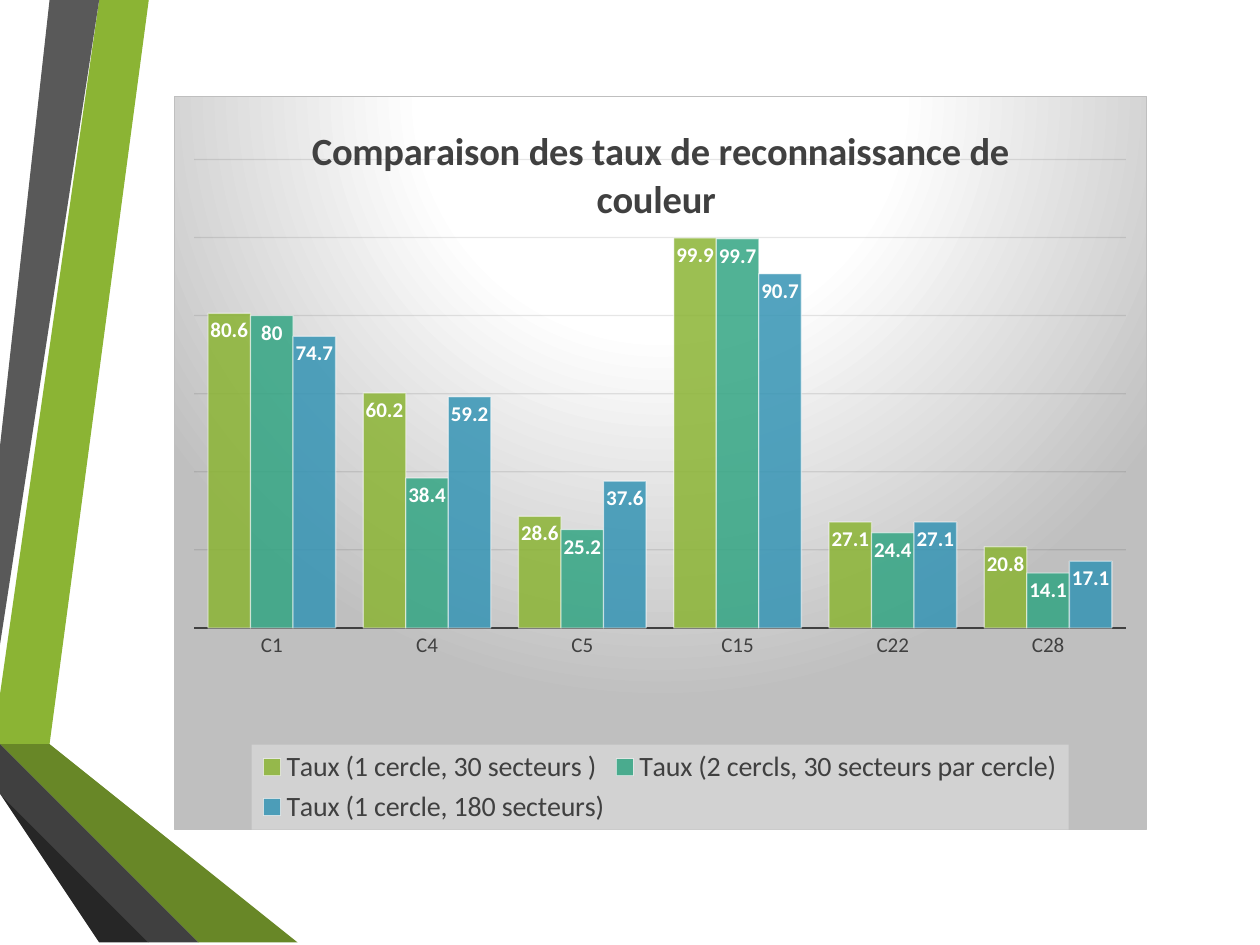
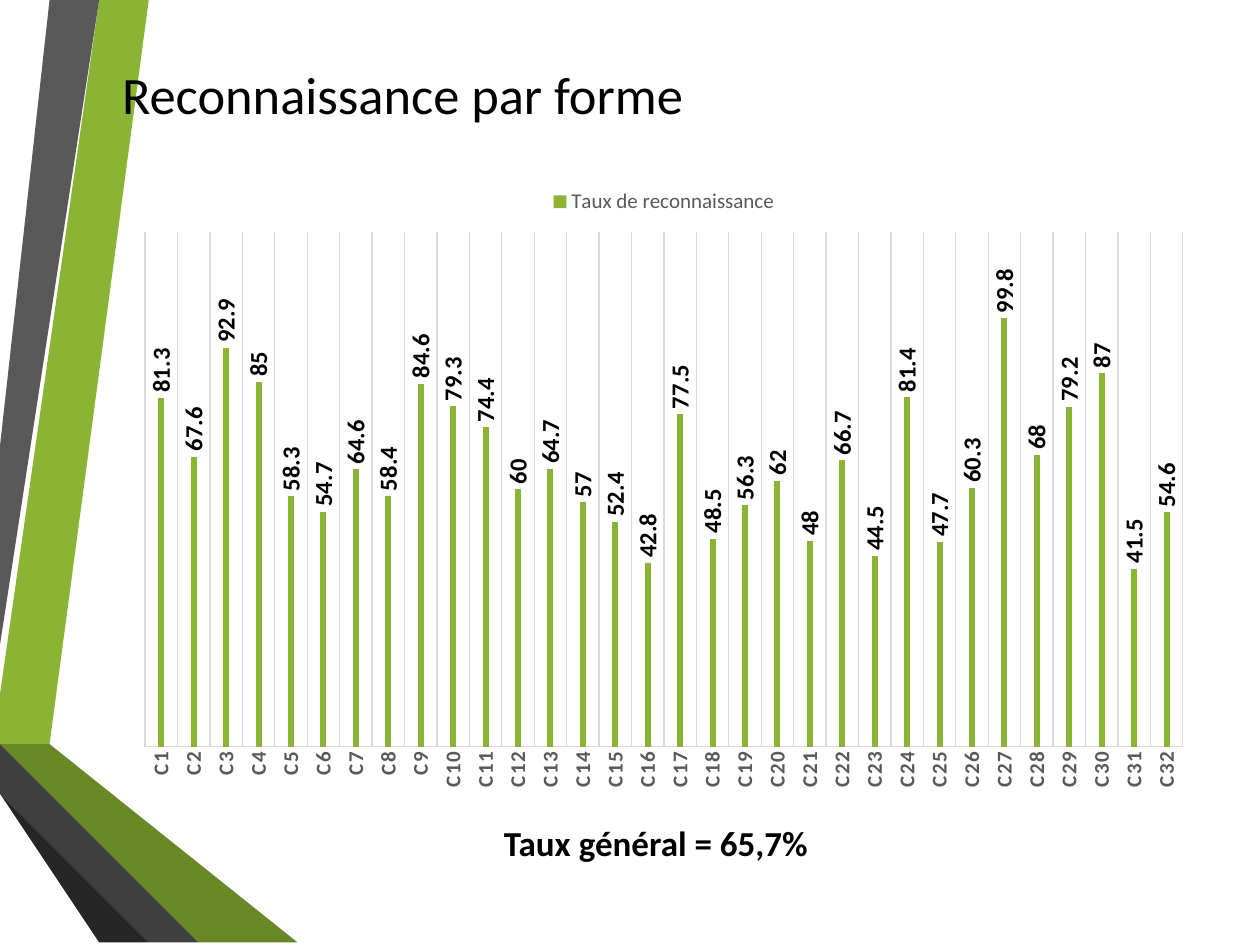
from lxml import etree
from pptx import Presentation
from pptx.chart.data import CategoryChartData
from pptx.dml.color import RGBColor
from pptx.enum.chart import (XL_CHART_TYPE, XL_LABEL_POSITION,
                             XL_LEGEND_POSITION, XL_TICK_MARK)
from pptx.enum.text import MSO_ANCHOR, MSO_AUTO_SIZE, PP_ALIGN
from pptx.oxml import parse_xml
from pptx.oxml.ns import nsdecls, qn
from pptx.util import Cm, Pt

COLUMN = XL_CHART_TYPE.COLUMN_CLUSTERED
IN_END, OUT_END = XL_LABEL_POSITION.INSIDE_END, XL_LABEL_POSITION.OUTSIDE_END
TOP, BOTTOM = XL_LEGEND_POSITION.TOP, XL_LEGEND_POSITION.BOTTOM
NO_TICK = XL_TICK_MARK.NONE
GROW = MSO_AUTO_SIZE.SHAPE_TO_FIT_TEXT
ANCHOR_TOP = MSO_ANCHOR.TOP
LEFT, CENTER = PP_ALIGN.LEFT, PP_ALIGN.CENTER

FACE = "Calibri"
HEX = {"black": "000000", "white": "FFFFFF", "lime": "8BB434",
       "teal": "33A583", "blue": "3594B4", "moss": "688727",
       "olive": "465A1A", "soot": "262626", "dark": "404040",
       "gray": "595959", "mist": "D9D9D9", "steel": "BFBFBF",
       "grid": "0D0D0D", "pale": "F2F2F2"}

# Side bands, corner points in centimetres
BANDS = [
    ("lime", [(0, 13.82), (0, 14.61), (0.56, 14.71), (2.97, 0), (2.26, 0)]),
    ("gray", [(2.11, 0), (1.4, 0), (0, 8.53), (0, 12.85)]),
    ("soot", [(0, 15.72), (0, 15.77), (2.36, 19.05), (2.51, 19.05)]),
    ("olive", [(0, 14.71), (0, 14.73), (3.96, 19.05), (4.14, 19.05)]),
    ("moss", [(0, 14.71), (4.14, 19.05), (5.92, 19.05), (0.56, 14.71),
              (0, 14.61)]),
    ("dark", [(0, 15.72), (2.51, 19.05), (3.84, 19.05), (0, 14.88)]),
]

# Slide 1: colour rates
COLOR = {
    "box": (3.51, 1.93, 19.61, 14.81),
    "title": "Comparaison des taux de reconnaissance de couleur ",
    "cats": ["C1", "C4", "C5", "C15", "C22", "C28"],
    "series": [
        ("Taux (1 cercle, 30 secteurs )", "lime",
         [80.6, 60.2, 28.6, 99.9, 27.1, 20.8]),
        ("Taux (2 cercls, 30 secteurs par cercle)", "teal",
         [80, 38.4, 25.2, 99.7, 24.4, 14.1]),
        ("Taux (1 cercle, 180 secteurs)", "blue",
         [74.7, 59.2, 37.6, 90.7, 27.1, 17.1]),
    ],
    "plot": {"gap_width": 65, "overlap": 0},
    "legend": (BOTTOM, {"size": 16, "color": "dark"}),
    "axis": ({"size": 12, "color": "dark"}, ("dark", 1.5)),
    "label": (IN_END, {"size": 12, "color": "white", "bold": True}),
}

# Slide 2: shape rates
HEAD = "Reconnaissance par forme"
TOTAL = "Taux général = 65,7%"
RATES = [81.3, 67.6, 92.9, 85, 58.3, 54.7, 64.6, 58.4,
         84.6, 79.3, 74.4, 60, 64.7, 57, 52.4, 42.8,
         77.5, 48.5, 56.3, 62, 48, 66.7, 44.5, 81.4,
         47.7, 60.3, 99.8, 68, 79.2, 87, 41.5, 54.6]
FORM = {
    "box": (2.49, 3.53, 21.79, 12.6),
    "cats": [f"C{n}" for n in range(1, len(RATES) + 1)],
    "series": [("Taux de reconnaissance", "lime", RATES)],
    "plot": {"gap_width": 444, "overlap": -90},
    "legend": (TOP, {"size": 12, "color": "gray"}),
    "axis": ({"size": 12, "color": "gray", "bold": True}, ("mist", 0.75)),
    "label": (OUT_END, {"size": 14, "color": "black", "bold": True}),
}


def apply(obj, vals):
    for name, val in vals.items():
        setattr(obj, name, val)


def rgb(name):
    return RGBColor.from_string(HEX[name])


def ink(font, size, color, bold=False):
    apply(font, {"name": FACE, "size": Pt(size), "bold": bold})
    font.color.rgb = rgb(color)


def paint(fill, color):
    fill.solid()
    fill.fore_color.rgb = rgb(color)


def rule(line, color, width):
    line.color.rgb = rgb(color)
    line.width = Pt(width)


def place(shape, box):
    apply(shape, dict(zip(("left", "top", "width", "height"),
                          map(Cm, box))))


def fade(chart, path, part):
    """Set the opacity, in percent, of the colours found at path."""
    for tone in chart.element.xpath(f"{path}/a:srgbClr"):
        etree.SubElement(tone, qn("a:alpha")).set("val", str(part * 1000))


def turn(chart, path):
    for body in chart.element.xpath(f"{path}/c:txPr/a:bodyPr"):
        apply_xml = {"rot": "-5400000", "vert": "horz"}
        for key, val in apply_xml.items():
            body.set(key, val)


def layout(box, inner=False):
    """Manual layout from fractions of the chart area."""
    rows = [("layoutTarget", "inner")] if inner else []
    rows += [("xMode", "edge"), ("yMode", "edge")] + list(zip("xywh", box))
    tags = "".join(f'<c:{tag} val="{val}"/>' for tag, val in rows)
    return parse_xml(f'<c:layout {nsdecls("c")}><c:manualLayout>{tags}'
                     '</c:manualLayout></c:layout>')


def draw_bands(prs, slide):
    """Draw the bands once and hand them to the master."""
    tree = prs.slide_master.shapes.element
    for color, (start, *rest) in BANDS:
        pen = slide.shapes.build_freeform(*start, scale=Cm(1))
        pen.add_line_segments(rest)
        band = pen.convert_to_shape()
        band.shadow.inherit = False
        paint(band.fill, color)
        band.line.fill.background()
        tree.append(band.element)


def add_bars(slide, spec):
    data = CategoryChartData()
    data.categories = spec["cats"]
    for name, _, vals in spec["series"]:
        data.add_series(name, vals)
    chart = slide.shapes.add_chart(
        COLUMN, *map(Cm, spec["box"]), data).chart
    ink(chart.font, 10, "black")
    chart.has_title = "title" in spec

    # Axes
    font, line = spec["axis"]
    cat, val = chart.category_axis, chart.value_axis
    cat.major_tick_mark = NO_TICK
    ink(cat.tick_labels.font, **font)
    rule(cat.format.line, *line)
    apply(val, {"minimum_scale": 0, "maximum_scale": 120, "major_unit": 20,
                "visible": False})

    # Legend
    spot, font = spec["legend"]
    chart.has_legend = True
    apply(chart.legend, {"position": spot, "include_in_layout": False})
    ink(chart.legend.font, **font)

    # Bars and their labels
    plot = chart.plots[0]
    apply(plot, {"vary_by_categories": False, **spec["plot"]})
    spot, font = spec["label"]
    for bar, (_, color, _) in zip(plot.series, spec["series"]):
        bar.invert_if_negative = False
        paint(bar.format.fill, color)
        tag = bar.data_labels
        apply(tag, {"show_value": True, "position": spot})
        ink(tag.font, **font)
    return chart


def color_slide(slide):
    chart = add_bars(slide, COLOR)
    root = chart.element

    # Title
    frame = chart.chart_title.text_frame
    frame.text = COLOR["title"]
    ink(frame.paragraphs[0].runs[0].font, 22, "dark", True)

    # Grid and bar outlines
    rule(chart.value_axis.major_gridlines.format.line, "grid", 0.75)
    fade(chart, "//c:majorGridlines//a:solidFill", 10)
    fade(chart, "//c:ser/c:spPr/a:solidFill", 85)
    for bar in chart.plots[0].series:
        rule(bar.format.line, "white", 0.75)
    fade(chart, "//c:ser/c:spPr/a:ln/a:solidFill", 50)

    # Places of plot and legend
    for old in root.xpath("//c:plotArea/c:layout | //c:legend/c:layout"):
        old.getparent().remove(old)
    root.xpath("//c:plotArea")[0].insert(
        0, layout((0.02, 0.086, 0.959, 0.639), True))
    root.xpath("//c:legendPos")[0].addnext(
        layout((0.079, 0.884, 0.841, 0.116)))

    # Backgrounds of legend and chart
    root.xpath("//c:legend/c:txPr")[0].addprevious(parse_xml(
        f'<c:spPr {nsdecls("c", "a")}><a:solidFill>'
        f'<a:srgbClr val="{HEX["pale"]}"/></a:solidFill></c:spPr>'))
    fade(chart, "//c:legend/c:spPr/a:solidFill", 39)
    stops = "".join(
        f'<a:gs pos="{pos * 1000}"><a:srgbClr val="{HEX[tone]}"/></a:gs>'
        for pos, tone in [(0, "white"), (39, "white"), (100, "steel")])
    root.xpath("c:chart")[0].addnext(parse_xml(
        f'<c:spPr {nsdecls("c", "a")}><a:gradFill><a:gsLst>{stops}</a:gsLst>'
        '<a:path path="circle"><a:fillToRect l="50000" t="-80000" r="50000" '
        'b="180000"/></a:path></a:gradFill><a:ln w="9525"><a:solidFill>'
        f'<a:srgbClr val="{HEX["steel"]}"/></a:solidFill></a:ln></c:spPr>'))


def write(shape, box, text, align, **font):
    place(shape, box)
    frame = shape.text_frame
    frame.text = text
    apply(frame, {"word_wrap": False, "auto_size": GROW,
                  "vertical_anchor": ANCHOR_TOP})
    line = frame.paragraphs[0]
    line.alignment = align
    ink(line.runs[0].font, **font)


def form_slide(slide):
    write(slide.shapes.title, (2.06, 1.12, 12.12, 1.55), HEAD, CENTER,
          size=30, color="black")
    chart = add_bars(slide, FORM)
    chart.value_axis.has_major_gridlines = False
    cat = chart.category_axis
    cat.has_major_gridlines = True
    rule(cat.major_gridlines.format.line, "mist", 0.75)
    turn(chart, "//c:catAx")
    turn(chart, "//c:dLbls")
    for font in chart.element.xpath("//c:catAx/c:txPr//a:defRPr"):
        font.set("spc", "100")
    box = (9.91, 16.43, 7.01, 1.12)
    write(slide.shapes.add_textbox(*map(Cm, box)), box, TOTAL, LEFT,
          size=20, color="black", bold=True)


def main():
    prs = Presentation()
    apply(prs, {"slide_width": Cm(25.4), "slide_height": Cm(19.05)})
    only, blank = prs.slide_layouts[5], prs.slide_layouts[6]
    first = prs.slides.add_slide(blank)
    draw_bands(prs, first)
    color_slide(first)
    form_slide(prs.slides.add_slide(only))
    prs.save("out.pptx")


if __name__ == "__main__":
    main()
